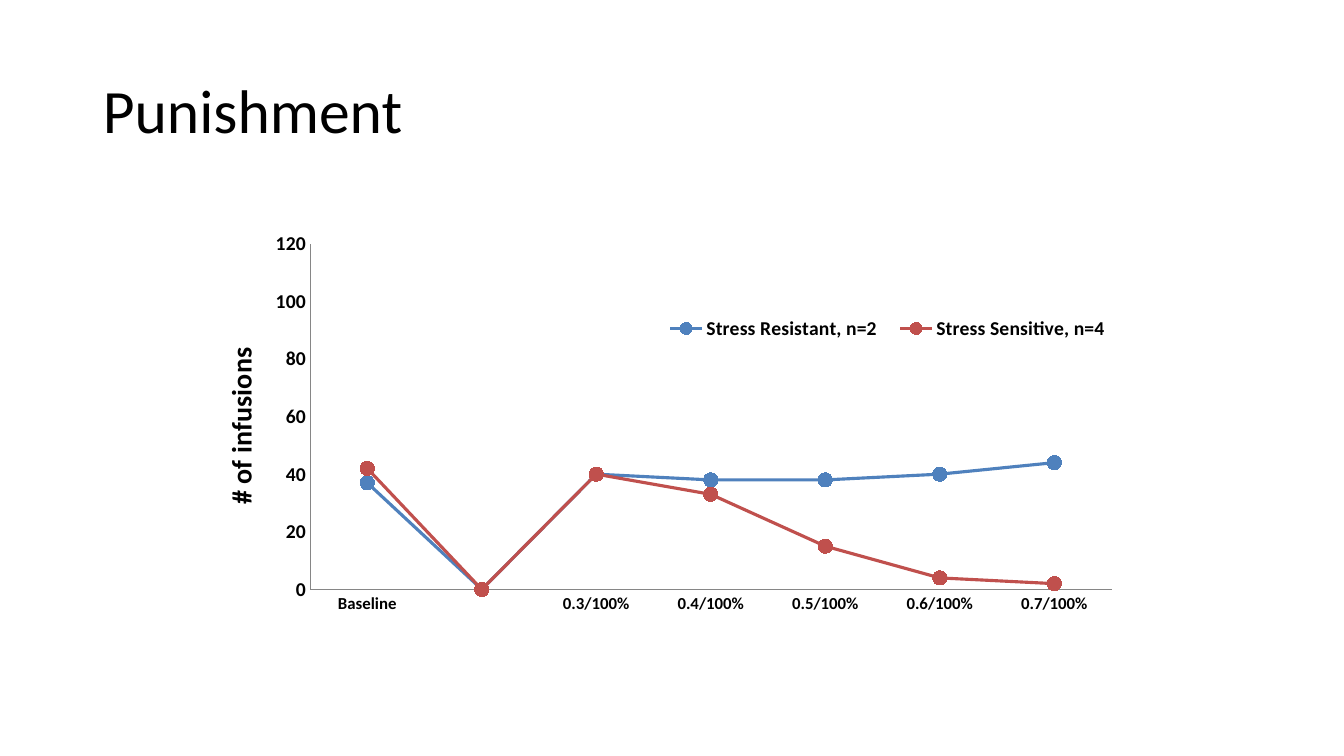
from dataclasses import dataclass

import pptx
import pptx.chart.data
import pptx.chart.series
import pptx.dml.color
import pptx.dml.line
import pptx.enum.chart
import pptx.enum.text
import pptx.oxml
import pptx.oxml.ns
import pptx.text.text
import pptx.util
from lxml import etree
from pptx.util import Inches

FONT = "Calibri"
COLORS = {
    "text": "000000",
    "axis": "868686",
    "resistant": "4F81BD",
    "sensitive": "C0504D",
}
DOSES = ["Baseline", "", "0.3/100%", "0.4/100%", "0.5/100%", "0.6/100%", "0.7/100%"]


@dataclass(frozen=True)
class StressGroup:
    name: str
    infusions: tuple[int | None, ...]
    color: str


GROUPS = [
    StressGroup("Stress Resistant, n=2", (37, None, 40, 38, 38, 40, 44), "resistant"),
    StressGroup("Stress Sensitive, n=4", (42, None, 40, 33, 15, 4, 2), "sensitive"),
]


def rgb(name: str) -> pptx.dml.color.RGBColor:
    return pptx.dml.color.RGBColor.from_string(COLORS[name])


def style_font(font: pptx.text.text.Font, size: int, bold: bool) -> None:
    font.name = FONT
    font.size = pptx.util.Pt(size)
    font.bold = bold
    font.color.rgb = rgb("text")


def style_line(line: pptx.dml.line.LineFormat, color: str, width: float) -> None:
    line.color.rgb = rgb(color)
    line.width = pptx.util.Pt(width)


def place(part: etree.ElementBase, index: int, **fractions: float) -> None:
    """Give a chart part a manual layout, as child number index, in fractions of the chart."""
    for old_layout in part.findall(pptx.oxml.ns.qn("c:layout")):
        part.remove(old_layout)
    modes = '<c:xMode val="edge"/><c:yMode val="edge"/>'
    sizes = "".join(f'<c:{key} val="{value}"/>' for key, value in fractions.items())
    part.insert(index, pptx.oxml.parse_xml(
        f'<c:layout {pptx.oxml.ns.nsdecls("c")}><c:manualLayout>'
        f"{modes}{sizes}</c:manualLayout></c:layout>"))


def style_series(series: pptx.chart.series.LineSeries, group: StressGroup) -> None:
    series.smooth = False
    style_line(series.format.line, group.color, 2.25)
    marker = series.marker
    marker.style = pptx.enum.chart.XL_MARKER_STYLE.CIRCLE
    marker.size = 10
    marker.format.fill.solid()
    marker.format.fill.fore_color.rgb = rgb(group.color)
    style_line(marker.format.line, group.color, 0.75)


def add_heading(slide: pptx.slide.Slide) -> None:
    heading = slide.shapes.title
    heading.left, heading.top = Inches(0.92), Inches(0.4)
    heading.width, heading.height = Inches(11.5), Inches(1.45)
    frame = heading.text_frame
    frame.text = "Punishment"
    frame.vertical_anchor = pptx.enum.text.MSO_ANCHOR.MIDDLE
    paragraph = frame.paragraphs[0]
    paragraph.alignment = pptx.enum.text.PP_ALIGN.LEFT
    paragraph.line_spacing = 0.9
    style_font(paragraph.font, 44, False)


def add_infusion_chart(slide: pptx.slide.Slide) -> None:
    infusion_data = pptx.chart.data.CategoryChartData(number_format="0")
    infusion_data.categories = DOSES
    for group in GROUPS:
        infusion_data.add_series(group.name, group.infusions)
    chart = slide.shapes.add_chart(
        pptx.enum.chart.XL_CHART_TYPE.LINE_MARKERS,
        Inches(1.55), Inches(1.53), Inches(9.87), Inches(5.49), infusion_data).chart
    chart.has_title = False
    style_font(chart.font, 10, False)

    plot = chart.plots[0]
    plot.vary_by_categories = False
    for series, group in zip(plot.series, GROUPS):
        style_series(series, group)

    doses, infusions = chart.category_axis, chart.value_axis
    for axis, size in ((doses, 12), (infusions, 14)):
        axis.has_major_gridlines = False
        axis.major_tick_mark = pptx.enum.chart.XL_TICK_MARK.NONE
        axis.minor_tick_mark = pptx.enum.chart.XL_TICK_MARK.NONE
        style_font(axis.tick_labels.font, size, True)
        style_line(axis.format.line, "axis", 0.75)
    infusions.minimum_scale, infusions.maximum_scale = 0, 120
    infusions.major_unit = 20
    infusions.tick_labels.number_format = "0"
    infusions.tick_labels.number_format_is_linked = False

    infusions_title = infusions.axis_title
    frame = infusions_title.text_frame
    frame.text = "# of infusions"
    style_font(frame.paragraphs[0].font, 20, True)
    body = infusions_title._element.find(".//" + pptx.oxml.ns.qn("a:bodyPr"))
    body.set("rot", "-5400000")
    body.set("vert", "horz")
    place(infusions_title._element, 1, x=0.06, y=0.34)

    chart.has_legend = True
    legend = chart.legend
    legend.position = pptx.enum.chart.XL_LEGEND_POSITION.BOTTOM
    legend.include_in_layout = False
    style_font(legend.font, 14, True)
    place(legend._element, 1, x=0.5, y=0.28, w=0.47, h=0.07)

    chart_space = chart._chartSpace
    place(chart_space.find(".//" + pptx.oxml.ns.qn("c:plotArea")), 0,
          x=0.12, y=0.14, w=0.84, h=0.69)
    # The dose without a value is drawn at zero.
    chart_space.find(".//" + pptx.oxml.ns.qn("c:dispBlanksAs")).set("val", "zero")


def main() -> None:
    presentation = pptx.Presentation()
    presentation.slide_width = Inches(13.33)
    presentation.slide_height = Inches(7.5)
    slide = presentation.slides.add_slide(presentation.slide_layouts[5])
    add_heading(slide)
    add_infusion_chart(slide)
    presentation.save("out.pptx")


if __name__ == "__main__":
    main()
